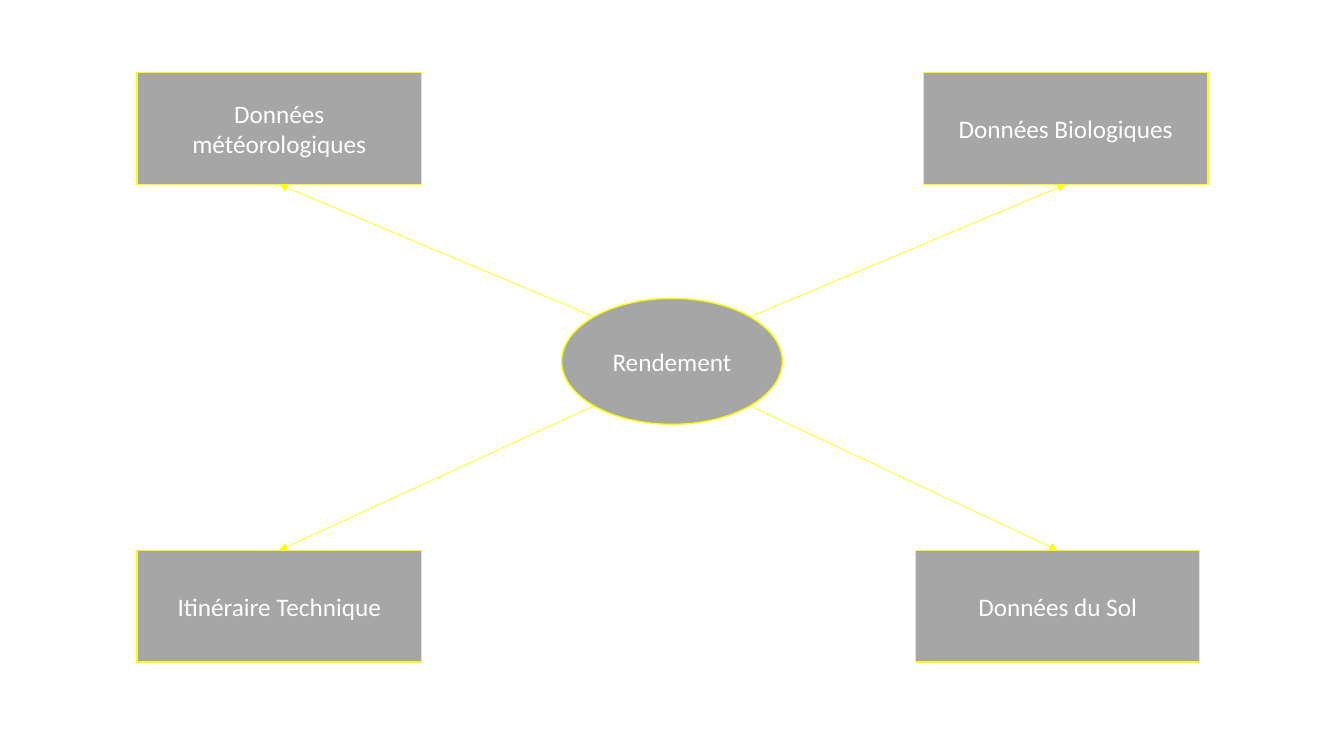
import math

import pptx
import pptx.util
import pptx.dml.color
import pptx.enum.shapes
import pptx.enum.text
import pptx.oxml.ns
from lxml import etree

Inches, Pt = pptx.util.Inches, pptx.util.Pt
SHAPES = pptx.enum.shapes.MSO_SHAPE

COLORS = {"fill": "A6A6A6", "line": "FFFF00", "text": "FFFFFF"}
FONT, FONT_SIZE = "Calibri", 18

CENTER = "Rendement"
# text, left edge, side (-1 left, 1 right), level (-1 above, 1 below)
FACTORS = [
    ("Données météorologiques", 1.36, -1, -1),
    ("Données Biologiques", 9.16, 1, -1),
    ("Données du Sol", 9.08, 1, 1),
    ("Itinéraire Technique", 1.36, -1, 1),
]
ROW_TOPS = {-1: 0.72, 1: 5.46}
BOX_WIDTH, BOX_HEIGHT = 2.82, 1.11
OVAL_LEFT, OVAL_TOP, OVAL_WIDTH, OVAL_HEIGHT = 5.57, 2.96, 2.19, 1.25


def rgb(name):
    """Return the named colour."""
    return pptx.dml.color.RGBColor.from_string(COLORS[name])


def add_node(page, kind, text, left, top, width, height):
    """Add a filled, outlined shape with centred text."""
    box = page.shapes.add_shape(
        kind, Inches(left), Inches(top), Inches(width), Inches(height))
    box.shadow.inherit = False
    box.fill.solid()
    box.fill.fore_color.rgb = rgb("fill")
    box.line.color.rgb = rgb("line")
    box.line.width = Pt(1)
    frame = box.text_frame
    frame.word_wrap = True
    frame.vertical_anchor = pptx.enum.text.MSO_ANCHOR.MIDDLE
    para = frame.paragraphs[0]
    para.alignment = pptx.enum.text.PP_ALIGN.CENTER
    span = para.add_run()
    span.text = text
    span.font.name = FONT
    span.font.size = Pt(FONT_SIZE)
    span.font.color.rgb = rgb("text")


def add_arrow(page, start, end):
    """Add a thin straight arrow pointing at end."""
    arrow = page.shapes.add_connector(
        pptx.enum.shapes.MSO_CONNECTOR.STRAIGHT,
        *(Inches(value) for value in start + end))
    arrow.line.color.rgb = rgb("line")
    arrow.line.width = Pt(0.5)
    qn = pptx.oxml.ns.qn
    etree.SubElement(arrow.line._get_or_add_ln(), qn("a:tailEnd"), type="triangle")
    etree.SubElement(arrow._element.spPr, qn("a:effectLst"))


def oval_point(side, level):
    """Return the point of the oval at 45 degrees towards a corner."""
    reach = math.sqrt(0.5) / 2
    return (OVAL_LEFT + OVAL_WIDTH * (0.5 + side * reach),
            OVAL_TOP + OVAL_HEIGHT * (0.5 + level * reach))


deck = pptx.Presentation()
deck.slide_width, deck.slide_height = Inches(13.33), Inches(7.5)
page = deck.slides.add_slide(deck.slide_layouts[6])

add_node(page, SHAPES.OVAL, CENTER, OVAL_LEFT, OVAL_TOP, OVAL_WIDTH, OVAL_HEIGHT)
for text, left, side, level in FACTORS:
    add_node(page, SHAPES.RECTANGLE, text, left, ROW_TOPS[level], BOX_WIDTH, BOX_HEIGHT)
for text, left, side, level in FACTORS:
    inner_edge = ROW_TOPS[level] + (BOX_HEIGHT if level < 0 else 0)
    add_arrow(page, oval_point(side, level), (left + BOX_WIDTH / 2, inner_edge))

deck.save("out.pptx")
